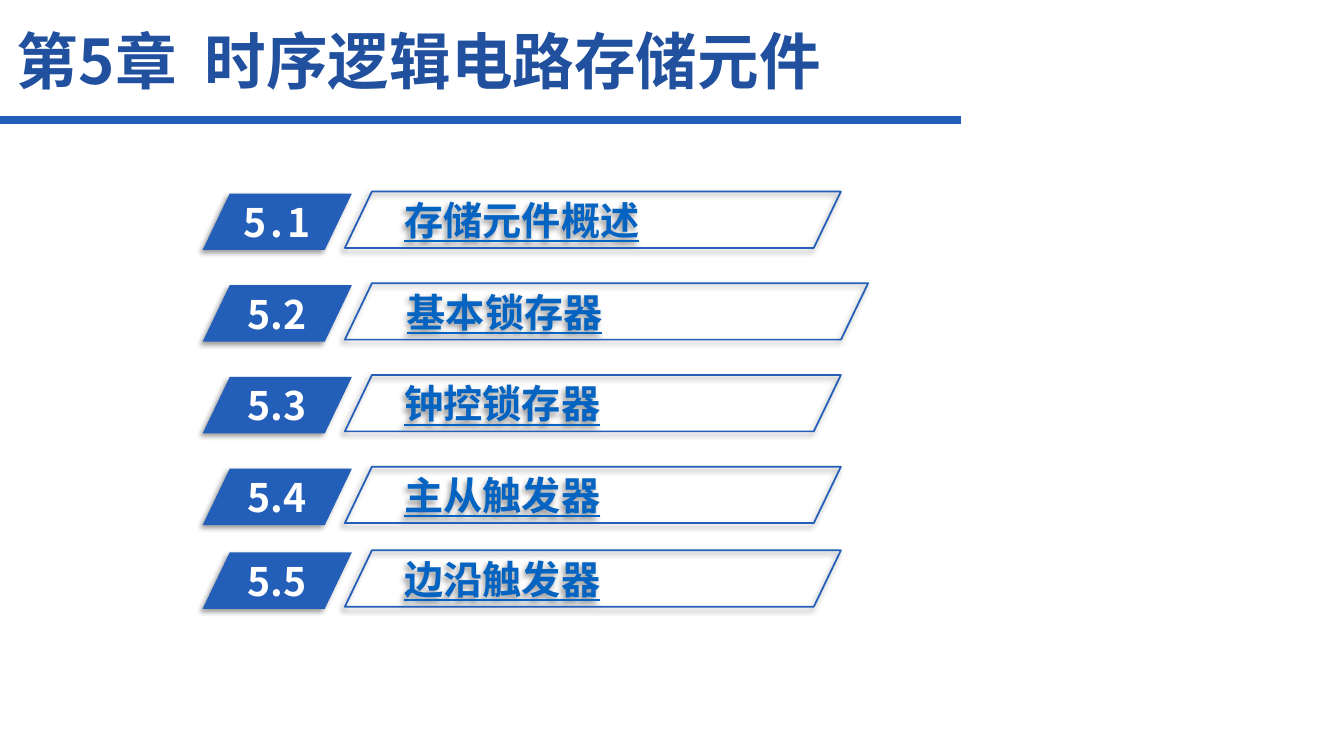
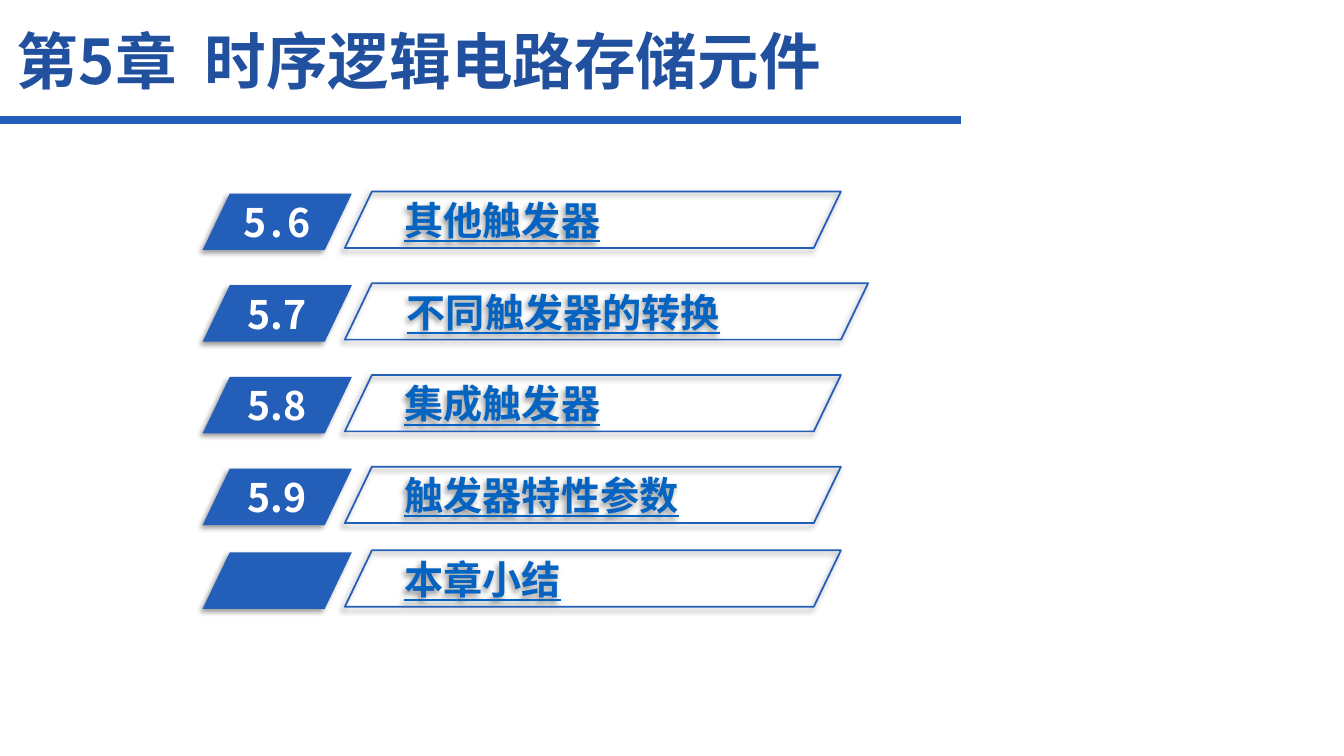
from lxml.etree import SubElement
from pptx import Presentation
from pptx.dml.color import RGBColor as Rgb
from pptx.enum.shapes import MSO_CONNECTOR as Connector, MSO_SHAPE as Shape
from pptx.enum.text import MSO_ANCHOR as Anchor, PP_ALIGN as Align
from pptx.oxml.ns import qn
from pptx.util import Inches, Pt

COLORS = {"title": "21509E", "accent": "235EB8", "link": "0563C1",
          "badge_text": "FFFFFF", "shadow": "000000"}
FONT = "Noto Sans CJK SC"
TITLE_PARTS = (("第5章", 0), (" ", 10), ("时序逻辑电路存储元件", 0))
BADGE_LEFT, BADGE_WIDTH, BADGE_DROP = 2.01, 1.48, 0.02
ENTRY_LEFT, ENTRY_WIDTH, WIDE_ENTRY_WIDTH = 3.42, 4.92, 5.19
ROW_HEIGHT, SLANT = 0.56, 0.48
ROW_TOPS = [1.9 + 0.91 * row for row in range(4)] + [5.46]
AGENDAS = (
    (("5.1", "存储元件概述"), ("5.2", "基本锁存器"), ("5.3", "钟控锁存器"),
     ("5.4", "主从触发器"), ("5.5", "边沿触发器")),
    (("5.6", "其他触发器"), ("5.7", "不同触发器的转换"), ("5.8", "集成触发器"),
     ("5.9", "触发器特性参数"), ("", "本章小结")),
)


def color(name):
    """Return a palette colour."""
    return Rgb.from_string(COLORS[name])


def add_run(paragraph, text, size, color_name, spacing=0, underline=False):
    """Add one bold run, with letter spacing in points."""
    run = paragraph.add_run()
    run.text = text
    font = run.font
    font.size, font.bold, font.name = Pt(size), True, FONT
    font.color.rgb = color(color_name)
    if underline:
        font.underline = True
    properties = run._r.get_or_add_rPr()
    if spacing:
        properties.set("spc", str(spacing * 100))
    SubElement(properties, qn("a:ea"), typeface=FONT)


def add_soft_shadow(shape):
    """Give a shape the shadow that falls to its lower left."""
    shape.shadow.inherit = False
    effects = shape.element.spPr.find(qn("a:effectLst"))
    shadow = SubElement(effects, qn("a:outerShdw"), blurRad=str(Pt(4)),
                        dist=str(Pt(3)), dir=str(135 * 60000), rotWithShape="0")
    tint = SubElement(shadow, qn("a:srgbClr"), val=COLORS["shadow"])
    SubElement(tint, qn("a:alpha"), val="40000")


def add_parallelogram(slide, left, top, width):
    """Add a slanted bar with a shadow, and return it."""
    bar = slide.shapes.add_shape(Shape.PARALLELOGRAM, Inches(left), Inches(top),
                                 Inches(width), Inches(ROW_HEIGHT))
    bar.adjustments[0] = SLANT
    add_soft_shadow(bar)
    bar.text_frame.vertical_anchor = Anchor.MIDDLE
    return bar


def add_badge(slide, top, number, spacing):
    """Add the filled section number."""
    badge = add_parallelogram(slide, BADGE_LEFT, top, BADGE_WIDTH)
    badge.fill.solid()
    badge.fill.fore_color.rgb = color("accent")
    badge.line.fill.background()
    if number:
        paragraph = badge.text_frame.paragraphs[0]
        paragraph.alignment = Align.CENTER
        add_run(paragraph, number, 28, "badge_text", spacing)


def add_entry(slide, top, width, name):
    """Add the outlined section name."""
    entry = add_parallelogram(slide, ENTRY_LEFT, top, width)
    entry.fill.background()
    entry.line.color.rgb = color("accent")
    entry.line.width = Pt(1.25)
    frame = entry.text_frame
    frame.margin_left = frame.margin_right = Inches(0.07)
    frame.margin_top = frame.margin_bottom = Inches(0.04)
    paragraph = frame.paragraphs[0]
    paragraph.alignment = Align.LEFT
    add_run(paragraph, name, 28, "link", underline=True)


def add_header(slide):
    """Add the chapter title and the rule below it."""
    title = slide.shapes.add_textbox(Inches(0.07), Inches(0.21),
                                     Inches(8.64), Inches(0.76))
    frame = title.text_frame
    frame.word_wrap = True
    frame.vertical_anchor = Anchor.MIDDLE
    for text, spacing in TITLE_PARTS:
        add_run(frame.paragraphs[0], text, 44, "title", spacing)
    rule = slide.shapes.add_connector(Connector.STRAIGHT, Inches(0), Inches(1.19),
                                      Inches(9.53), Inches(1.19))
    rule.line.color.rgb = color("accent")
    rule.line.width = Pt(6)
    SubElement(rule._element.spPr, qn("a:effectLst"))


def add_agenda(slide, sections):
    """Add one row for each section; the second row is wider."""
    for row, (top, (number, name)) in enumerate(zip(ROW_TOPS, sections)):
        add_badge(slide, top + BADGE_DROP, number, 3 if row == 0 else 0)
        add_entry(slide, top, WIDE_ENTRY_WIDTH if row == 1 else ENTRY_WIDTH, name)


def main():
    """Build the agenda slides and save them."""
    deck = Presentation()
    deck.slide_width, deck.slide_height = Inches(13.33), Inches(7.5)
    for sections in AGENDAS:
        slide = deck.slides.add_slide(deck.slide_layouts[6])
        add_header(slide)
        add_agenda(slide, sections)
    deck.save("out.pptx")


if __name__ == "__main__":
    main()
